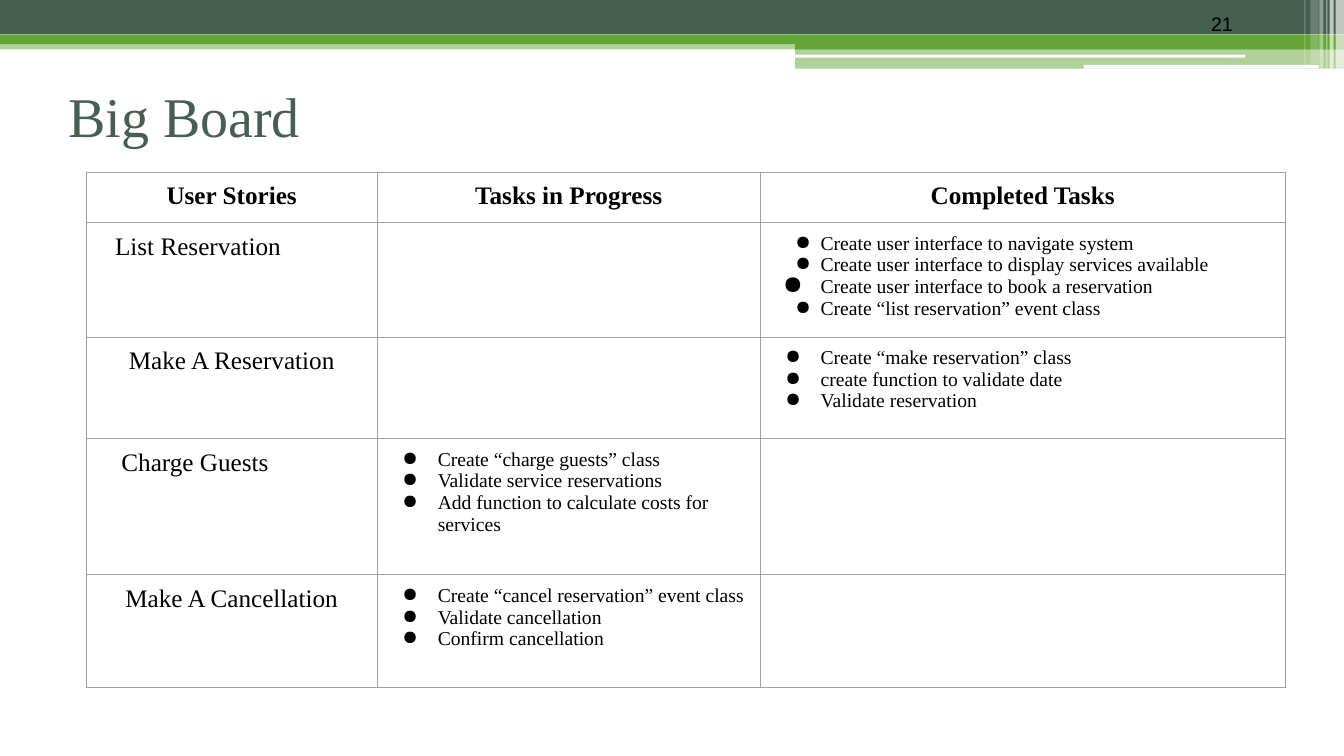
from dataclasses import dataclass

from lxml.etree import SubElement
from pptx import Presentation
from pptx.dml.color import RGBColor
from pptx.enum.shapes import MSO_SHAPE
from pptx.enum.text import MSO_ANCHOR, PP_ALIGN
from pptx.oxml.ns import qn
from pptx.util import Pt


@dataclass(frozen=True)
class Theme:
    dark_green: str = "455F51"
    green: str = "63A537"
    white: str = "FFFFFF"
    black: str = "000000"
    border: str = "9E9E9E"
    serif: str = "Times New Roman"
    sans: str = "Arial"
    title_size: float = 40
    heading_size: float = 18
    task_size: float = 14


THEME = Theme()


@dataclass(frozen=True)
class Band:
    left: float
    top: float
    width: float
    height: float
    color: str = THEME.white
    opacity: int = 100
    rounded: bool = False


@dataclass(frozen=True)
class Task:
    text: str
    hanging: float = 25.2
    bullet_percent: int = 100


@dataclass(frozen=True)
class Story:
    name: str
    height: float
    in_progress: tuple[Task, ...] = ()
    completed: tuple[Task, ...] = ()
    indent: float = 0
    centered: bool = False


BANDS = (
    Band(0, 28.8, 960, 6.5, THEME.green, 50),
    Band(0, 0, 960, 24.5, THEME.dark_green),
    Band(0, 24.5, 960, 7, THEME.green),
    Band(568, 28.1, 392, 7.2, THEME.green),
    Band(568, 34.6, 392, 14.4, THEME.green, 50),
    Band(567.5, 39, 322, 2.2, rounded=True),
    Band(774, 46.3, 168, 2.7, rounded=True),
    Band(954, 0, 6, 49, opacity=65),
    Band(949.7, 0, 2.9, 49, opacity=65),
    Band(947.5, 0, 0.7, 49, opacity=60),
    Band(942.5, 0, 2.9, 49, opacity=40),
    Band(936, 0, 6, 46, opacity=20),
    Band(931.7, 0, 0.7, 46, opacity=30),
)

HEADINGS = ("User Stories", "Tasks in Progress", "Completed Tasks")
COLUMN_WIDTHS = (208, 273.5, 375)
HEADING_HEIGHT = 34.3
TASK_INDENT = 36
CELL_INSET = 7.2

STORIES = (
    Story(
        "List Reservation",
        77.8,
        completed=(
            Task("Create user interface to navigate system", 18),
            Task("Create user interface to display services available", 18),
            Task("Create user interface to book a reservation", 27, 129),
            Task("Create “list reservation” event class", 18),
        ),
        indent=13.5,
    ),
    Story(
        "Make A Reservation",
        72.7,
        completed=(
            Task("Create “make reservation” class"),
            Task("create function to validate date"),
            Task("Validate reservation"),
        ),
        centered=True,
    ),
    Story(
        "Charge Guests",
        97.2,
        in_progress=(
            Task("Create “charge guests” class"),
            Task("Validate service reservations"),
            Task("Add function to calculate costs for services"),
        ),
        indent=18,
    ),
    Story(
        "Make A Cancellation",
        80.7,
        in_progress=(
            Task("Create “cancel reservation” event class"),
            Task("Validate cancellation"),
            Task("Confirm cancellation"),
        ),
        centered=True,
    ),
)


def write_text(paragraph, text: str, *, size: float = THEME.heading_size, font: str = THEME.serif,
               color: str = THEME.black, bold: bool = False, centered: bool = False,
               indent: float = 0) -> None:
    run = paragraph.add_run()
    run.text = text
    run.font.size = Pt(size)
    run.font.name = font
    run.font.bold = bold
    run.font.color.rgb = RGBColor.from_string(color)
    paragraph.alignment = PP_ALIGN.CENTER if centered else PP_ALIGN.LEFT
    if indent:
        paragraph._p.get_or_add_pPr().set("marL", str(Pt(indent)))


def draw_band(slide, band: Band) -> None:
    preset = MSO_SHAPE.ROUNDED_RECTANGLE if band.rounded else MSO_SHAPE.RECTANGLE
    shape = slide.shapes.add_shape(preset, Pt(band.left), Pt(band.top), Pt(band.width), Pt(band.height))
    shape.shadow.inherit = False
    shape.line.fill.background()
    shape.fill.solid()
    shape.fill.fore_color.rgb = RGBColor.from_string(band.color)
    if band.opacity < 100:
        color = shape._element.spPr.find(f"{qn('a:solidFill')}/{qn('a:srgbClr')}")
        SubElement(color, qn("a:alpha"), val=str(band.opacity * 1000))


def add_text_frame(slide, left: float, top: float, width: float, height: float, anchor: MSO_ANCHOR):
    frame = slide.shapes.add_textbox(Pt(left), Pt(top), Pt(width), Pt(height)).text_frame
    frame.word_wrap = True
    frame.vertical_anchor = anchor
    return frame


def style_cell(cell) -> None:
    cell.margin_left = cell.margin_right = cell.margin_top = cell.margin_bottom = Pt(CELL_INSET)
    properties = cell._tc.get_or_add_tcPr()
    for side in ("lnL", "lnR", "lnT", "lnB"):
        line = SubElement(properties, qn(f"a:{side}"), w=str(Pt(0.75)))
        SubElement(SubElement(line, qn("a:solidFill")), qn("a:srgbClr"), val=THEME.border)
    cell.fill.background()


def write_tasks(cell, tasks: tuple[Task, ...]) -> None:
    frame = cell.text_frame
    for index, task in enumerate(tasks):
        paragraph = frame.add_paragraph() if index else frame.paragraphs[0]
        write_text(paragraph, task.text, size=THEME.task_size, indent=TASK_INDENT)
        properties = paragraph._p.get_or_add_pPr()
        properties.set("indent", str(-Pt(task.hanging)))
        SubElement(SubElement(properties, qn("a:buClr")), qn("a:srgbClr"), val=THEME.black)
        SubElement(properties, qn("a:buSzPct"), val=str(task.bullet_percent * 1000))
        SubElement(properties, qn("a:buChar"), char="●")


def draw_board(slide) -> None:
    heights = (HEADING_HEIGHT, *(story.height for story in STORIES))
    table = slide.shapes.add_table(len(heights), len(HEADINGS), Pt(61.5), Pt(123),
                                   Pt(sum(COLUMN_WIDTHS)), Pt(sum(heights))).table
    table.first_row = table.horz_banding = False
    for column, width in zip(table.columns, COLUMN_WIDTHS):
        column.width = Pt(width)
    for row, height in zip(table.rows, heights):
        row.height = Pt(height)
    for cell in table.iter_cells():
        style_cell(cell)
    for index, heading in enumerate(HEADINGS):
        write_text(table.cell(0, index).text_frame.paragraphs[0], heading, bold=True, centered=True)
    for index, story in enumerate(STORIES, start=1):
        write_text(table.cell(index, 0).text_frame.paragraphs[0], story.name,
                   centered=story.centered, indent=story.indent)
        write_tasks(table.cell(index, 1), story.in_progress)
        write_tasks(table.cell(index, 2), story.completed)


def main() -> None:
    presentation = Presentation()
    presentation.slide_width, presentation.slide_height = Pt(960), Pt(540)
    slide = presentation.slides.add_slide(presentation.slide_layouts[6])
    for band in BANDS:
        draw_band(slide, band)
    number = add_text_frame(slide, 858, 0, 80, 28.8, MSO_ANCHOR.BOTTOM)
    write_text(number.paragraphs[0], "21", size=THEME.task_size, font=THEME.sans)
    title = add_text_frame(slide, 41.8, 60.5, 864, 44, MSO_ANCHOR.MIDDLE)
    write_text(title.paragraphs[0], "Big Board", size=THEME.title_size, color=THEME.dark_green)
    draw_board(slide)
    presentation.save("out.pptx")


if __name__ == "__main__":
    main()
